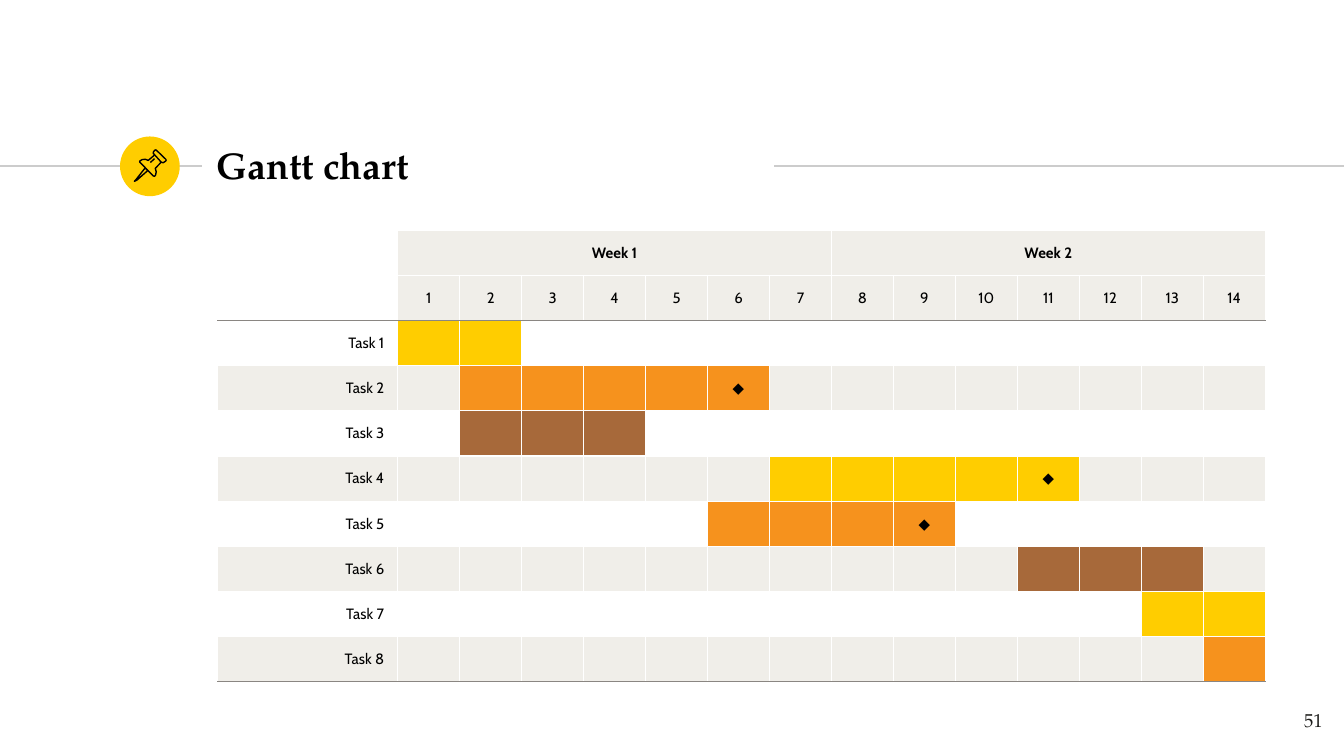
from lxml import etree
from pptx import Presentation
from pptx.dml.color import RGBColor
from pptx.enum import shapes, text
from pptx.oxml import ns
from pptx.util import Pt

SERIF, SANS = "TeX Gyre Pagella", "Cabin"
BLACK, WHITE, PALE, GREY = "000000", "FFFFFF", "F0EEE9", "8A8682"
YELLOW, ORANGE, BROWN = "FFCD00", "F6921D", "A7693A"
DAYS, HEADER_ROWS = 14, 2
LABEL_WIDTH, DAY_WIDTH, ROW_HEIGHT = 96.5, 33.22, 24.19

# First day, last day, bar colour, whether the bar ends in a milestone
TASKS = [
    (1, 2, YELLOW, False),
    (2, 6, ORANGE, True),
    (2, 4, BROWN, False),
    (7, 11, YELLOW, True),
    (6, 9, ORANGE, True),
    (11, 13, BROWN, False),
    (13, 14, YELLOW, False),
    (14, 14, ORANGE, False),
]

# Pushpin outlines: points and whether the outline is closed
PIN = [
    ([(77.8, 90), (72.7, 96.5), (72, 97.2), (73.4, 96.5), (79.2, 91.4)], True),
    ([(82.9, 83), (86.4, 86.9), (87.4, 87.2), (88.4, 86.6), (89, 86), (88.9, 85.4),
      (83.7, 80.4), (83.2, 80.3), (82.5, 81), (82.1, 81.6), (82.2, 82.3)], True),
    ([(82.9, 83), (79.4, 86), (78, 85.4), (76.3, 85.5), (75, 86.2), (74.8, 86.8),
      (82.1, 94.3), (82.8, 94.5), (83.4, 93.7), (83.7, 92), (83.2, 90.2),
      (86.4, 86.9)], False),
    ([(80.6, 87.1), (82.8, 85)], False),
]


def colour(value):
    return RGBColor.from_string(value)


def style_text(para, font, size, ink=BLACK, bold=False, align=text.PP_ALIGN.LEFT):
    para.alignment = align
    for span in para.runs:
        span.font.name = font
        span.font.size = Pt(size)
        span.font.bold = bold
        span.font.color.rgb = colour(ink)


def add_text(page, words, left, top, width, height, anchor, **style):
    box = page.shapes.add_textbox(Pt(left), Pt(top), Pt(width), Pt(height))
    frame = box.text_frame
    frame.word_wrap = True
    frame.vertical_anchor = anchor
    frame.margin_left = frame.margin_right = Pt(7.2)
    frame.margin_top = frame.margin_bottom = Pt(7.2)
    frame.text = words
    style_text(frame.paragraphs[0], SERIF, **style)


def add_rule(page, start, end, height):
    rule = page.shapes.add_connector(
        shapes.MSO_CONNECTOR.STRAIGHT, Pt(start), Pt(height), Pt(end), Pt(height))
    rule.line.color.rgb = colour("CCCCCC")
    rule.line.width = Pt(0.75)
    etree.SubElement(rule._element.spPr, ns.qn("a:effectLst"))


def add_disc(page, left, top, size):
    disc = page.shapes.add_shape(
        shapes.MSO_SHAPE.OVAL, Pt(left), Pt(top), Pt(size), Pt(size))
    disc.shadow.inherit = False
    disc.fill.solid()
    disc.fill.fore_color.rgb = colour(YELLOW)
    disc.line.fill.background()


def add_outline(page, points, closed):
    first, *rest = [(Pt(x), Pt(y)) for x, y in points]
    builder = page.shapes.build_freeform(*first)
    builder.add_line_segments(rest, close=closed)
    outline = builder.convert_to_shape()
    outline.shadow.inherit = False
    outline.fill.background()
    outline.line.color.rgb = colour(BLACK)
    outline.line.width = Pt(0.75)


def set_borders(cell, top, bottom):
    props = cell._tc.get_or_add_tcPr()
    for side, ink in (("L", WHITE), ("R", WHITE), ("T", top), ("B", bottom)):
        line = etree.SubElement(props, ns.qn(f"a:ln{side}"), w=str(Pt(0.75)))
        fill = etree.SubElement(line, ns.qn("a:solidFill"))
        etree.SubElement(fill, ns.qn("a:srgbClr"), val=ink)


def fill_cell(cell, words, fill, align, bold=False):
    cell.vertical_anchor = text.MSO_ANCHOR.MIDDLE
    cell.margin_left = cell.margin_right = Pt(7.2)
    cell.margin_top = cell.margin_bottom = Pt(3.6)
    if fill:
        cell.fill.solid()
        cell.fill.fore_color.rgb = colour(fill)
    else:
        cell.fill.background()
    para = cell.text_frame.paragraphs[0]
    if words:
        para.text = words
        style_text(para, SANS, 8, bold=bold, align=align)
    else:
        # Keeps an empty cell from stretching its row
        para._p.get_or_add_endParaRPr().set("sz", "800")


def cell_content(row, column):
    """Return the words and fill of one cell."""
    if row < HEADER_ROWS:
        if column == 0:
            return "", None
        if row == 1:
            return str(column), PALE
        week, day = divmod(column - 1, 7)
        return ("" if day else f"Week {week + 1}"), PALE
    number = row - HEADER_ROWS
    band = PALE if number % 2 else None
    if column == 0:
        return f"Task {number + 1}", band
    first, last, bar, milestone = TASKS[number]
    if not first <= column <= last:
        return "", band
    return ("◆" if milestone and column == last else ""), bar


def add_gantt(page, left, top):
    rows, columns = HEADER_ROWS + len(TASKS), DAYS + 1
    width = LABEL_WIDTH + DAYS * DAY_WIDTH
    table = page.shapes.add_table(
        rows, columns, Pt(left), Pt(top), Pt(width), Pt(rows * ROW_HEIGHT)).table
    table.first_row = table.horz_banding = False
    for index, column in enumerate(table.columns):
        column.width = Pt(DAY_WIDTH if index else LABEL_WIDTH)
    for row in table.rows:
        row.height = Pt(ROW_HEIGHT)

    # Grey rules lie under the header and under the last task
    for row in range(rows):
        above = GREY if row == HEADER_ROWS else WHITE
        below = GREY if row in (HEADER_ROWS - 1, rows - 1) else WHITE
        for column in range(columns):
            cell = table.cell(row, column)
            set_borders(cell, above, below)
            words, fill = cell_content(row, column)
            align = text.PP_ALIGN.CENTER if column else text.PP_ALIGN.RIGHT
            fill_cell(cell, words, fill, align, bold=row == 0)

    # Each week spans seven days
    for start in range(1, columns, 7):
        table.cell(0, start).merge(table.cell(0, start + 6))


def main():
    deck = Presentation()
    deck.slide_width, deck.slide_height = Pt(720), Pt(405)
    page = deck.slides.add_slide(deck.slide_layouts[6])

    # Heading band
    add_rule(page, 0, 108, 89)
    add_disc(page, 64.3, 73.1, 32)
    add_rule(page, 414.7, 720, 89)
    add_text(page, "Gantt chart", 108.9, 70.8, 305.3, 34.6,
             text.MSO_ANCHOR.MIDDLE, size=20, bold=True)

    # Page number
    add_text(page, "51", 672.5, 373.7, 43.2, 31, text.MSO_ANCHOR.TOP,
             size=10, ink="1D1D1B", align=text.PP_ALIGN.RIGHT)

    # Schedule
    add_gantt(page, 116.6, 123.4)

    # Pushpin
    for points, closed in PIN:
        add_outline(page, points, closed)

    deck.save("out.pptx")


if __name__ == "__main__":
    main()
